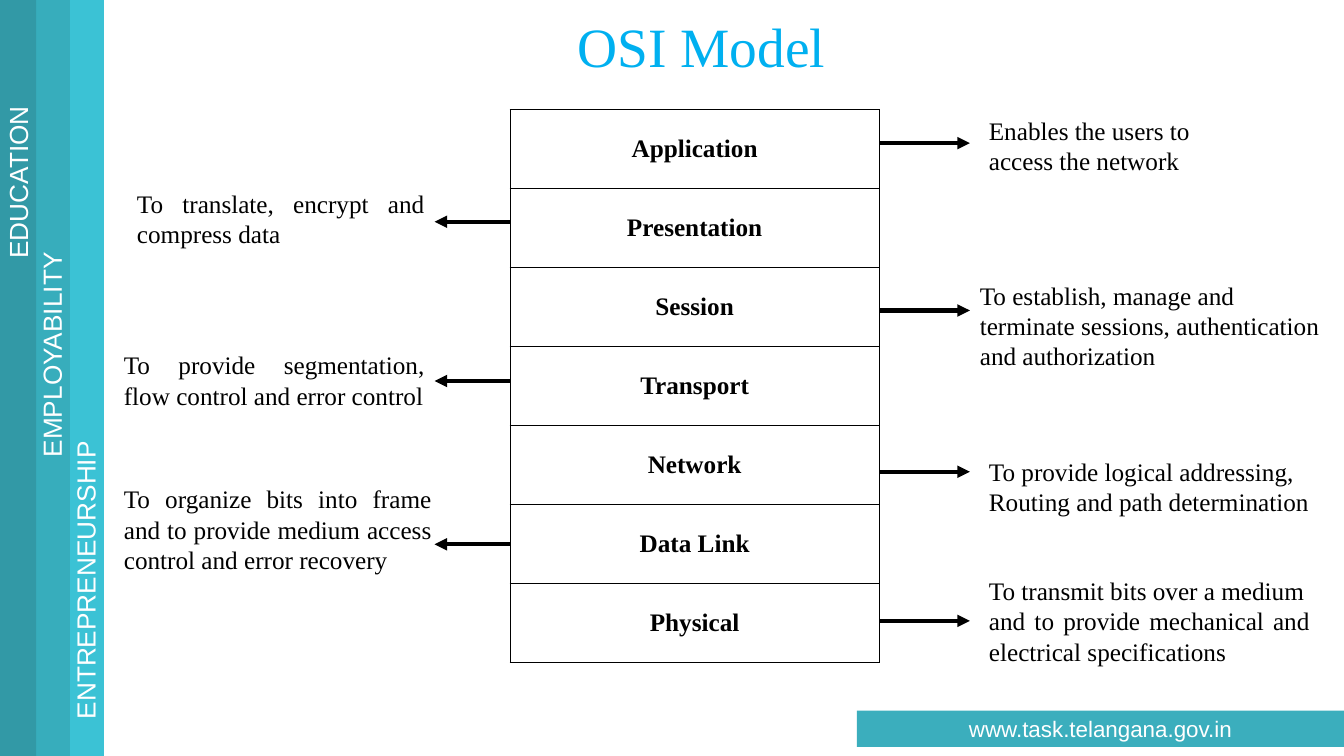
from lxml import etree
from pptx import Presentation, util as u
from pptx.dml.color import RGBColor
from pptx.enum import shapes, text
from pptx.oxml import ns

WHITE = RGBColor(0xFF, 0xFF, 0xFF)
BLACK = RGBColor(0, 0, 0)
TITLE_BLUE = RGBColor(0x00, 0xB0, 0xF0)
FOOTER_TEAL = RGBColor(0x3B, 0xAE, 0xBD)
DARK_TEAL = RGBColor(0x32, 0x99, 0xA6)
MID_TEAL = RGBColor(0x37, 0xAD, 0xBC)
LIGHT_TEAL = RGBColor(0x3B, 0xC2, 0xD5)
SERIF, SANS = "Times New Roman", "Arial"
LEFT, CENTER, JUSTIFY = text.PP_ALIGN.LEFT, text.PP_ALIGN.CENTER, text.PP_ALIGN.JUSTIFY

deck = Presentation()
deck.slide_width, deck.slide_height = u.Inches(13.33), u.Inches(7.5)
page = deck.slides.add_slide(deck.slide_layouts[5])


def write(frame, lines, size, font, color, align=LEFT, bold=False):
    for number, line in enumerate(lines):
        para = frame.add_paragraph() if number else frame.paragraphs[0]
        para.text = line
        para.alignment = align
        para.font.size, para.font.name = u.Pt(size), font
        para.font.color.rgb, para.font.bold = color, bold


def add_bar(left, top, width, height, color):
    bar = page.shapes.add_shape(shapes.MSO_SHAPE.RECTANGLE, u.Inches(left),
                                u.Inches(top), u.Inches(width), u.Inches(height))
    bar.shadow.inherit = False
    bar.fill.solid()
    bar.fill.fore_color.rgb = color
    bar.line.fill.background()
    return bar


# Title
title = page.shapes.title
title.left, title.top = u.Inches(3.57), u.Inches(0.13)
title.width, title.height = u.Inches(6.77), u.Inches(0.73)
title.text_frame.vertical_anchor = text.MSO_ANCHOR.MIDDLE
write(title.text_frame, ["OSI Model"], 39.6, SERIF, TITLE_BLUE, CENTER)
title.text_frame.paragraphs[0].line_spacing = 0.9

# Sidebar: colour, word, length of the word's box, its vertical middle
BAR_WIDTH, BAR_PITCH, LABEL_HEIGHT = 0.36, 0.335, 0.42
sidebar = [
    (DARK_TEAL, "EDUCATION", 1.73, 1.8),
    (MID_TEAL, "EMPLOYABILITY", 2.25, 3.51),
    (LIGHT_TEAL, "ENTREPRENEURSHIP", 2.99, 5.74),
]
for column in (2, 1, 0):
    add_bar(column * BAR_PITCH, 0, BAR_WIDTH, 7.5, sidebar[column][0])
for column, (_, word, length, middle) in enumerate(sidebar):
    center = column * BAR_PITCH + BAR_WIDTH / 2
    label = page.shapes.add_textbox(
        u.Inches(center - length / 2), u.Inches(middle - LABEL_HEIGHT / 2),
        u.Inches(length), u.Inches(LABEL_HEIGHT))
    label.rotation = 270
    label.text_frame.word_wrap = False
    label.text_frame.auto_size = text.MSO_AUTO_SIZE.SHAPE_TO_FIT_TEXT
    write(label.text_frame, [word], 18.7, SANS, WHITE)

# Footer
footer = add_bar(8.5, 7.05, 4.83, 0.36, FOOTER_TEAL)
footer.text_frame.vertical_anchor = text.MSO_ANCHOR.MIDDLE
write(footer.text_frame, ["www.task.telangana.gov.in"], 16, SANS, WHITE, CENTER)

# Layer stack
STACK_LEFT, STACK_RIGHT = 5.06, 8.72
layers = ["Application", "Presentation", "Session", "Transport",
          "Network", "Data Link", "Physical"]
stack = page.shapes.add_table(
    len(layers), 1, u.Inches(STACK_LEFT), u.Inches(1.09),
    u.Inches(STACK_RIGHT - STACK_LEFT), u.Inches(5.48)).table
stack.first_row = stack.horz_banding = False
for row, layer in enumerate(layers):
    cell = stack.cell(row, 0)
    cell.vertical_anchor = text.MSO_ANCHOR.MIDDLE
    write(cell.text_frame, [layer], 18, SERIF, BLACK, CENTER, bold=True)
    properties = cell._tc.get_or_add_tcPr()
    for side in ("a:lnL", "a:lnR", "a:lnT", "a:lnB"):
        border = etree.SubElement(properties, ns.qn(side), w=str(u.Pt(1)))
        fill = etree.SubElement(border, ns.qn("a:solidFill"))
        etree.SubElement(fill, ns.qn("a:srgbClr"), val=str(BLACK))
    cell.fill.background()

# Arrows: from the stack's side to the tip, at each height
arrow_sides = [(STACK_RIGHT, 9.62, (1.42, 3.08, 4.68, 6.16)),
               (STACK_LEFT, 4.31, (2.2, 3.78, 5.4))]
for start, tip, heights in arrow_sides:
    for y in heights:
        arrow = page.shapes.add_connector(
            shapes.MSO_CONNECTOR.STRAIGHT,
            u.Inches(start), u.Inches(y), u.Inches(tip), u.Inches(y))
        arrow.line.width = u.Pt(3)
        arrow.line.color.rgb = BLACK
        etree.SubElement(arrow.line._get_or_add_ln(), ns.qn("a:tailEnd"), type="triangle")
        etree.SubElement(arrow._element.spPr, ns.qn("a:effectLst"))

# What each layer does: left, top, width, height, alignment, paragraphs
notes = [
    (9.71, 1.09, 2.24, 0.71, LEFT, ["Enables the users to access the network"]),
    (1.26, 1.82, 3.05, 0.71, JUSTIFY, ["To translate, encrypt and compress data"]),
    (9.62, 2.73, 3.66, 1.01, LEFT,
     ["To establish, manage and terminate sessions, authentication and authorization"]),
    (1.13, 3.42, 3.18, 0.71, JUSTIFY,
     ["To provide segmentation, flow control and error control"]),
    (9.71, 4.48, 3.38, 0.71, JUSTIFY,
     ["To provide logical addressing,", "Routing and path determination"]),
    (1.13, 4.75, 3.25, 1.01, JUSTIFY,
     ["To organize bits into frame and to provide medium access control and error recovery"]),
    (9.71, 5.66, 3.38, 1.01, JUSTIFY,
     ["To transmit bits over a medium",
      "and to provide mechanical and electrical specifications"]),
]
for left, top, width, height, align, lines in notes:
    note = page.shapes.add_textbox(u.Inches(left), u.Inches(top),
                                   u.Inches(width), u.Inches(height))
    note.text_frame.word_wrap = True
    note.text_frame.auto_size = text.MSO_AUTO_SIZE.SHAPE_TO_FIT_TEXT
    write(note.text_frame, lines, 18, SERIF, BLACK, align)

deck.save("out.pptx")
